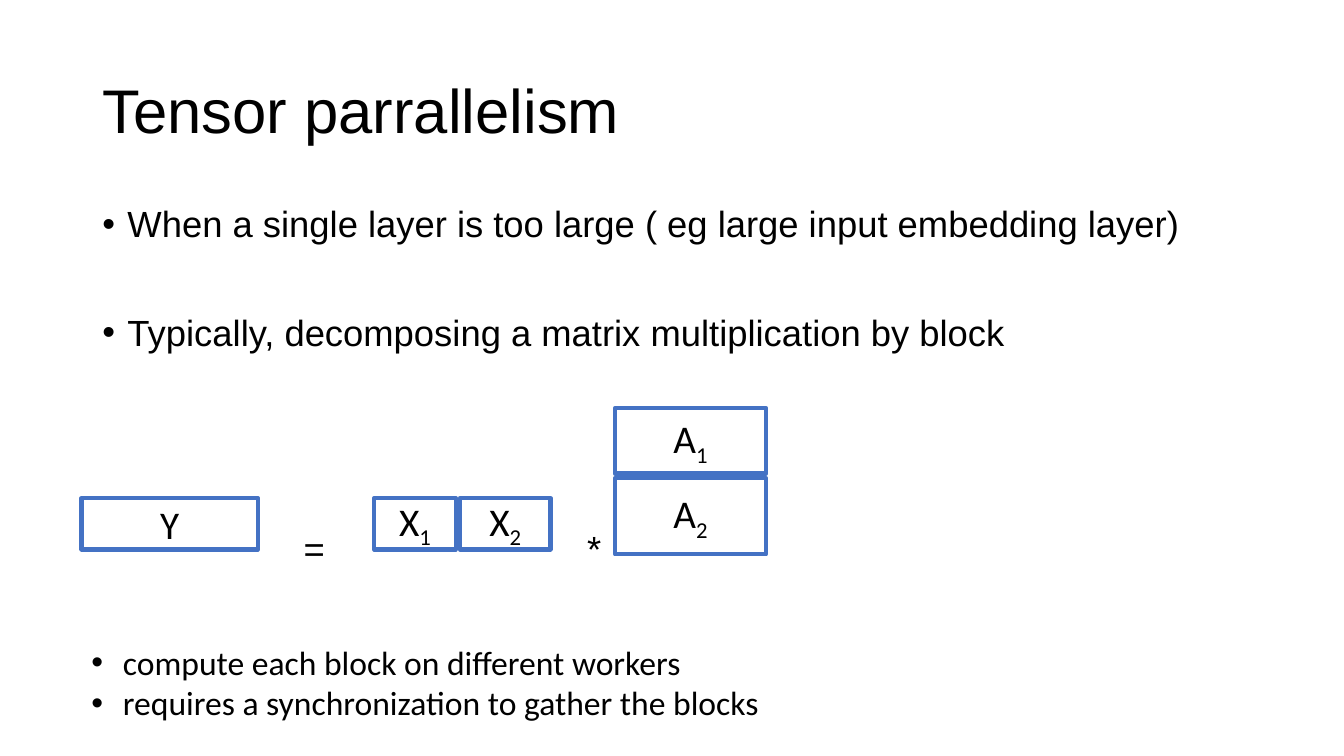
from lxml.etree import SubElement
from pptx import Presentation
from pptx.dml.color import RGBColor
from pptx.enum.shapes import MSO_SHAPE
from pptx.enum.text import MSO_ANCHOR, MSO_AUTO_SIZE, PP_ALIGN
from pptx.oxml.ns import qn
from pptx.util import Pt

BLACK = RGBColor(0x00, 0x00, 0x00)
WHITE = RGBColor(0xFF, 0xFF, 0xFF)
BLUE = RGBColor(0x44, 0x72, 0xC4)

TITLE_FORMAT = {"name": "Arial", "size": Pt(44)}
BODY_FORMAT = {"name": "Arial", "size": Pt(26)}
BLOCK_FORMAT = {"name": "Calibri", "size": Pt(28)}
NOTE_FORMAT = {"name": "Calibri", "size": Pt(24)}


def write(paragraph, text, font_format, subscript=""):
    for part in filter(None, (text, subscript)):
        run = paragraph.add_run()
        run.text = part
        for name, value in font_format.items():
            setattr(run.font, name, value)
        run.font.color.rgb = BLACK
    if subscript:
        run._r.get_or_add_rPr().set("baseline", "-25000")


def add_bullets(left, top, width, height, lines, font_format, indent, spacing, gap):
    frame = slide.shapes.add_textbox(Pt(left), Pt(top), Pt(width), Pt(height)).text_frame
    frame.word_wrap = True
    for index, line in enumerate(lines):
        paragraph = frame.add_paragraph() if index else frame.paragraphs[0]
        properties = paragraph._p.get_or_add_pPr()
        properties.set("marL", str(Pt(indent)))
        properties.set("indent", str(-Pt(indent)))
        SubElement(properties, qn("a:buFont")).set("typeface", "Arial")
        SubElement(properties, qn("a:buChar")).set("char", "•")
        paragraph.line_spacing = spacing
        paragraph.space_before = Pt(gap if index else 0)
        write(paragraph, line, font_format)


presentation = Presentation()
presentation.slide_width = Pt(960)
presentation.slide_height = Pt(540)
slide = presentation.slides.add_slide(presentation.slide_layouts[5])

title = slide.shapes.title
title.left, title.top, title.width, title.height = Pt(66), Pt(28.75), Pt(828), Pt(104.4)
title.text_frame.auto_size = MSO_AUTO_SIZE.NONE
title.text_frame.vertical_anchor = MSO_ANCHOR.MIDDLE
heading = title.text_frame.paragraphs[0]
heading.alignment = PP_ALIGN.LEFT
heading.line_spacing = 0.9
write(heading, "Tensor parrallelism", TITLE_FORMAT)

add_bullets(66, 143.75, 828, 120, [
    "When a single layer is too large ( eg large input embedding layer)",
    "Typically, decomposing a matrix multiplication by block",
], BODY_FORMAT, 18, 0.9, 49.5)

for operator, center in (("=", 224.5), ("*", 424.5)):
    frame = slide.shapes.add_textbox(Pt(center - 15), Pt(375.5), Pt(30), Pt(30)).text_frame
    frame.margin_left = frame.margin_right = frame.margin_top = frame.margin_bottom = 0
    frame.word_wrap = True
    frame.paragraphs[0].alignment = PP_ALIGN.CENTER
    write(frame.paragraphs[0], operator, BODY_FORMAT)

BLOCKS = [
    ("Y", "", 58.25, 355.75, 126, 36.75),
    ("X", "1", 267.25, 355.75, 58.25, 36.75),
    ("X", "2", 328.5, 355.75, 64.75, 36.75),
    ("A", "2", 439.25, 341.5, 108, 54.5),
    ("A", "1", 439.25, 291.5, 108, 46.75),
]
for letter, subscript, left, top, width, height in BLOCKS:
    block = slide.shapes.add_shape(
        MSO_SHAPE.RECTANGLE, Pt(left), Pt(top), Pt(width), Pt(height))
    block.shadow.inherit = False
    block.fill.solid()
    block.fill.fore_color.rgb = WHITE
    block.line.color.rgb = BLUE
    block.line.width = Pt(3)
    block.text_frame.vertical_anchor = MSO_ANCHOR.MIDDLE
    paragraph = block.text_frame.paragraphs[0]
    paragraph.alignment = PP_ALIGN.CENTER
    write(paragraph, letter, BLOCK_FORMAT, subscript)

add_bullets(58.25, 455, 656.5, 65.5, [
    "compute each block on different workers",
    "requires a synchronization to gather the blocks",
], NOTE_FORMAT, 22.5, 1.0, 0)

presentation.save("out.pptx")
